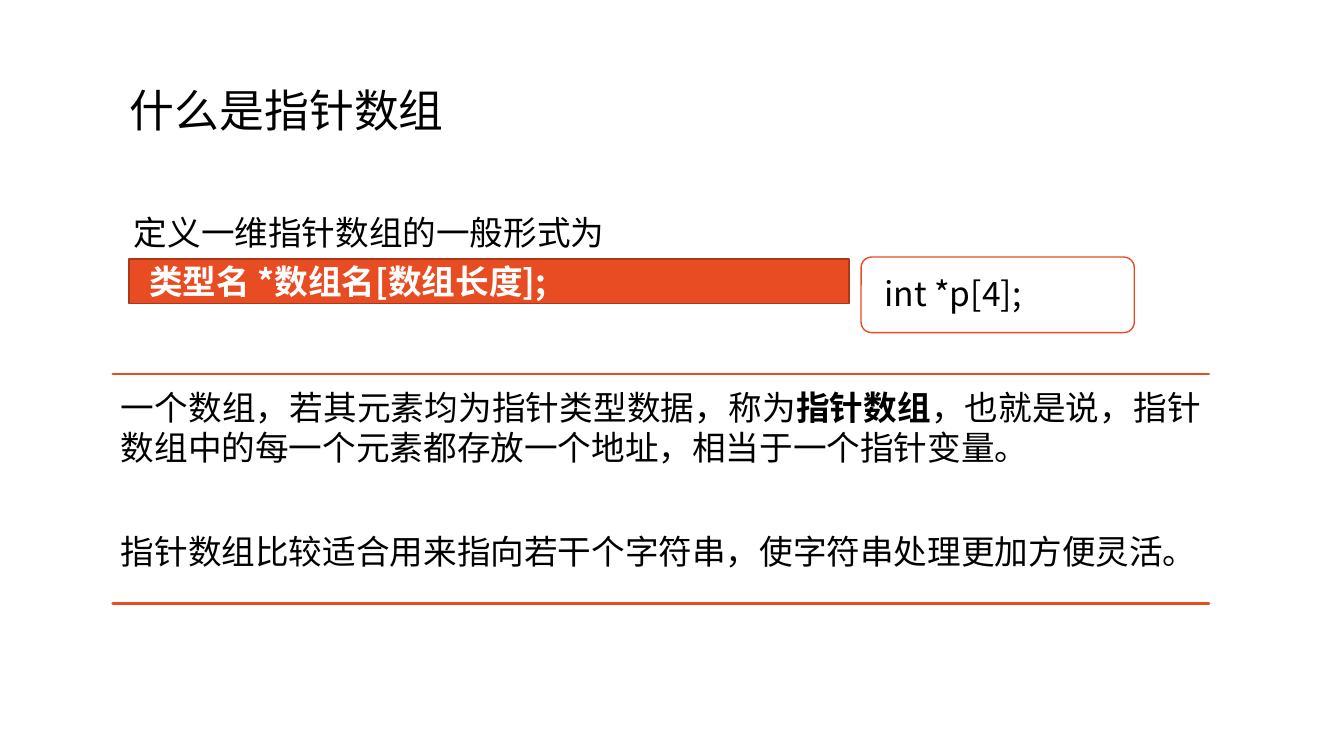
from dataclasses import dataclass, field

from lxml.etree import SubElement
from pptx import Presentation
from pptx.dml.color import RGBColor
from pptx.enum.shapes import MSO_SHAPE
from pptx.enum.text import MSO_ANCHOR, PP_ALIGN
from pptx.oxml.ns import qn
from pptx.shapes.autoshape import Shape
from pptx.slide import Slide
from pptx.util import Inches, Pt


@dataclass(frozen=True)
class Theme:
    font: str = "Noto Sans CJK SC"
    title_size: int = 32
    body_size: int = 24
    black: str = "000000"
    white: str = "FFFFFF"
    accent: str = "E84C22"
    accent_dark: str = "AC3819"


THEME = Theme()


@dataclass(frozen=True)
class TextRun:
    text: str
    bold: bool = False


@dataclass(frozen=True)
class TextStyle:
    size: int = THEME.body_size
    color: str = THEME.black
    anchor: MSO_ANCHOR = MSO_ANCHOR.TOP
    margins: tuple[float, float, float, float] = (0.1, 0.05, 0.1, 0.05)
    paragraph_format: dict[str, object] = field(default_factory=dict)


@dataclass(frozen=True)
class Block:
    box: tuple[float, float, float, float]
    paragraphs: list[list[TextRun]]
    style: TextStyle
    preset: MSO_SHAPE | None = None
    fill: str = THEME.white
    line: str = THEME.accent
    corner: float | None = None


@dataclass(frozen=True)
class RuledBlock:
    left: float
    right: float
    rules: tuple[float, float]
    paragraphs: list[list[TextRun]]
    style: TextStyle


CODE_MARGINS = (0.2, 0.05, 0.1, 0.05)

BLOCKS = [
    Block(
        (1.19, 0.4, 7.91, 1.45),
        [[TextRun("什么是指针数组")]],
        TextStyle(THEME.title_size, anchor=MSO_ANCHOR.MIDDLE, paragraph_format={"line_spacing": 0.9}),
    ),
    Block(
        (1.28, 2.57, 7.14, 0.44),
        [[TextRun("类型名 *数组名[数组长度];", bold=True)]],
        TextStyle(color=THEME.white, anchor=MSO_ANCHOR.MIDDLE, margins=CODE_MARGINS),
        MSO_SHAPE.RECTANGLE,
        THEME.accent,
        THEME.accent_dark,
    ),
    Block(
        (8.54, 2.55, 2.71, 0.75),
        [[TextRun("int *p[4];")]],
        TextStyle(margins=CODE_MARGINS, paragraph_format={"line_spacing": 1.2}),
        MSO_SHAPE.ROUNDED_RECTANGLE,
        corner=0.14,
    ),
    Block((1.23, 2.05, 6.67, 0.5), [[TextRun("定义一维指针数组的一般形式为")]], TextStyle()),
]

EXPLANATION = RuledBlock(
    1.12,
    11.99,
    (3.71, 5.99),
    [
        [
            TextRun("一个数组，若其元素均为指针类型数据，称为"),
            TextRun("指针数组", bold=True),
            TextRun("，也就是说，指针数组中的每一个元素都存放一个地址，相当于一个指针变量。"),
        ],
        [TextRun("指针数组比较适合用来指向若干个字符串，使字符串处理更加方便灵活。")],
    ],
    TextStyle(
        margins=(0.08, 0.13, 0.08, 0.08),
        paragraph_format={"alignment": PP_ALIGN.JUSTIFY, "line_spacing": 1.0, "space_after": Pt(45)},
    ),
)


def apply_format(target: object, values: dict[str, object]) -> None:
    for name, value in values.items():
        setattr(target, name, value)


def write_text(shape: Shape, paragraphs: list[list[TextRun]], style: TextStyle) -> None:
    frame = shape.text_frame
    left, top, right, bottom = map(Inches, style.margins)
    apply_format(frame, {
        "word_wrap": True,
        "vertical_anchor": style.anchor,
        "margin_left": left,
        "margin_top": top,
        "margin_right": right,
        "margin_bottom": bottom,
    })
    for index, text_runs in enumerate(paragraphs):
        paragraph = frame.add_paragraph() if index else frame.paragraphs[0]
        apply_format(paragraph, {"alignment": PP_ALIGN.LEFT} | style.paragraph_format)
        for text_run in text_runs:
            run = paragraph.add_run()
            run.text = text_run.text
            apply_format(run.font, {"name": THEME.font, "size": Pt(style.size), "bold": text_run.bold})
            run.font.color.rgb = RGBColor.from_string(style.color)
            SubElement(run.font._element, qn("a:ea"), typeface=THEME.font)


def style_line(shape: Shape, color: str, width: float) -> None:
    shape.shadow.inherit = False
    shape.line.color.rgb = RGBColor.from_string(color)
    shape.line.width = Pt(width)


def draw_block(slide: Slide, block: Block) -> None:
    box = map(Inches, block.box)
    if block.preset is None:
        shape = slide.shapes.add_textbox(*box)
    else:
        shape = slide.shapes.add_shape(block.preset, *box)
        shape.fill.solid()
        shape.fill.fore_color.rgb = RGBColor.from_string(block.fill)
        style_line(shape, block.line, 1)
        if block.corner is not None:
            shape.adjustments[0] = block.corner
    write_text(shape, block.paragraphs, block.style)


def draw_ruled_block(slide: Slide, block: RuledBlock) -> None:
    left, right = Inches(block.left), Inches(block.right)
    top, bottom = map(Inches, block.rules)
    builder = slide.shapes.build_freeform(left, top)
    builder.add_line_segments([(right, top)], close=True)
    builder.move_to(left, bottom)
    builder.add_line_segments([(right, bottom)], close=True)
    shape = builder.convert_to_shape()
    shape.fill.background()
    style_line(shape, THEME.accent, 2)
    write_text(shape, block.paragraphs, block.style)


def main() -> None:
    presentation = Presentation()
    apply_format(presentation, {"slide_width": Inches(13.33), "slide_height": Inches(7.5)})
    slide = presentation.slides.add_slide(presentation.slide_layouts[6])
    draw_ruled_block(slide, EXPLANATION)
    for block in BLOCKS:
        draw_block(slide, block)
    presentation.save("out.pptx")


if __name__ == "__main__":
    main()
